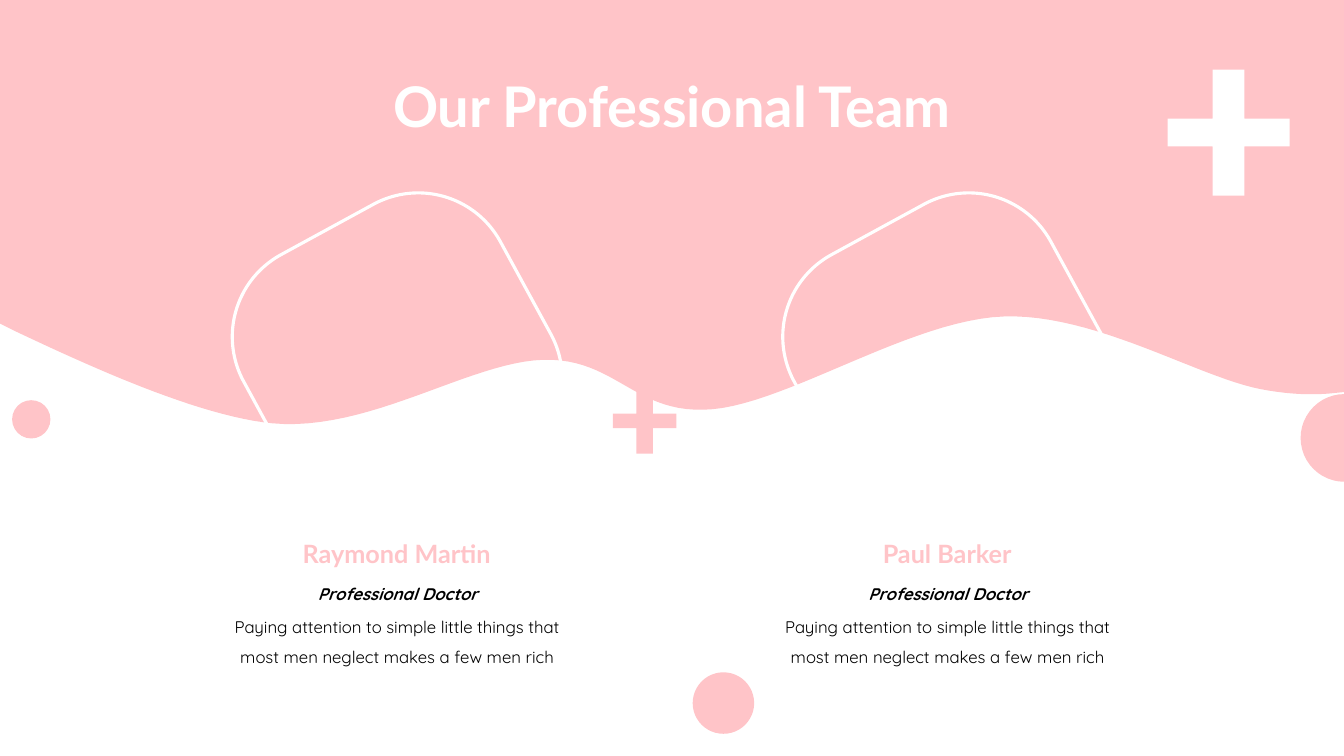
from pptx import Presentation
from pptx.dml.color import RGBColor
from pptx.enum.shapes import MSO_SHAPE
from pptx.enum.text import MSO_ANCHOR, MSO_AUTO_SIZE, PP_ALIGN
from pptx.util import Inches, Pt

PINK = RGBColor(0xFF, 0xC4, 0xC8)
WHITE = RGBColor(0xFF, 0xFF, 0xFF)
BLACK = RGBColor(0, 0, 0)
OVAL, ROUNDED = MSO_SHAPE.OVAL, MSO_SHAPE.ROUNDED_RECTANGLE
TOP, MIDDLE = MSO_ANCHOR.TOP, MSO_ANCHOR.MIDDLE
CENTER = PP_ALIGN.CENTER
GROW, FIXED = MSO_AUTO_SIZE.SHAPE_TO_FIT_TEXT, MSO_AUTO_SIZE.NONE

WIDTH, HEIGHT = 13.33, 7.5
CURVE_STEPS = 24
CARD_LEFT, CARD_TOP, CARD_STEP, FRAME_SPAN = 2.3, 1.91, 5.46, 3.28
FRAME_SIDE, FRAME_ROUNDING, FRAME_TURN = 2.9, 0.32, -28.6

HEADING = {"name": "Lato", "size": Pt(40), "bold": True}
NAME = {"name": "Lato", "size": Pt(18), "bold": True}
BODY = {"name": "Quicksand", "size": Pt(12)}
ROLE = {**BODY, "bold": True, "italic": True}

WAVE_START = (13.23, 3.9)
WAVE_CURVES = [
    ((13.05, 3.92), (12.81, 3.92), (12.5, 3.86)),
    ((11.88, 3.74), (10.86, 3.11), (9.96, 3.14)),
    ((9.05, 3.17), (7.83, 3.99), (7.07, 4.06)),
    ((6.3, 4.13), (6.12, 3.55), (5.39, 3.57)),
    ((4.66, 3.59), (3.66, 4.29), (2.7, 4.2)),
    ((1.97, 4.13), (0.88, 3.63), (0.16, 3.29)),
]
CIRCLES = [(0.12, 3.97, 0.38), (12.9, 3.91, 0.87), (6.87, 6.67, 0.61)]
PLUSES = [(6.08, 3.85, 0.63, 0.65, PINK), (11.58, 0.69, 1.21, 1.25, WHITE)]
TEAM = ["Raymond Martin", "Paul Barker"]
JOB = "Professional Doctor"
QUOTE = ("Paying attention to simple little things that "
         "most men neglect makes a few men rich")


def fill_plain(s, color):
    """Give a shape a flat fill without line or shadow."""
    s.shadow.inherit = False
    s.fill.solid()
    s.fill.fore_color.rgb = color
    s.line.fill.background()


def add_outline(slide, points, color):
    """Draw a filled polygon through points given in inches."""
    corners = [(Inches(x), Inches(y)) for x, y in points]
    builder = slide.shapes.build_freeform(*corners[0])
    builder.add_line_segments(corners[1:], close=True)
    fill_plain(builder.convert_to_shape(), color)


def curve_points(start, c1, c2, end):
    """Return points along a cubic curve, leaving out its start."""
    points = []
    for step in range(1, CURVE_STEPS + 1):
        t = step / CURVE_STEPS
        weights = ((1 - t) ** 3, 3 * t * (1 - t) ** 2, 3 * t * t * (1 - t), t ** 3)
        points.append(tuple(sum(w * v for w, v in zip(weights, axis))
                            for axis in zip(start, c1, c2, end)))
    return points


def add_text(slide, box, text, font, color, spacing=1.0, anchor=TOP, size_mode=GROW):
    """Place one centred paragraph in a box given in inches."""
    tf = slide.shapes.add_textbox(*map(Inches, box)).text_frame
    tf.word_wrap, tf.auto_size, tf.vertical_anchor = True, size_mode, anchor
    p = tf.paragraphs[0]
    p.alignment, p.line_spacing = CENTER, spacing
    r = p.add_run()
    r.text = text
    for key, value in font.items():
        setattr(r.font, key, value)
    r.font.color.rgb = color


def add_wave(slide, width):
    """Fill the top of the slide down to a wavy edge."""
    points = [(0, 0), (width, 0), (width, 3.89), WAVE_START]
    for curve in WAVE_CURVES:
        points += curve_points(points[-1], *curve)
    add_outline(slide, points + [(0, 3.21)], PINK)


def add_plus(slide, x, y, w, h, color):
    """Draw a plus sign that fills the given box."""
    x1, x2 = x + 0.37 * w, x + 0.63 * w
    y1, y2 = y + 0.39 * h, y + 0.61 * h
    right, bottom = x + w, y + h
    add_outline(slide, [(x1, y), (x2, y), (x2, y1), (right, y1), (right, y2), (x2, y2),
                        (x2, bottom), (x1, bottom), (x1, y2), (x, y2), (x, y1), (x1, y1)],
                color)


def add_member(slide, x, y, name):
    """Draw a tilted frame with a member's name, role and quote below."""
    inset = (FRAME_SPAN - FRAME_SIDE) / 2
    s = slide.shapes.add_shape(ROUNDED, Inches(x + inset), Inches(y + inset),
                               Inches(FRAME_SIDE), Inches(FRAME_SIDE))
    s.shadow.inherit = False
    s.adjustments[0] = FRAME_ROUNDING
    s.rotation = FRAME_TURN
    s.fill.background()
    s.line.color.rgb = WHITE
    s.line.width = Pt(2.25)
    add_text(slide, (x + 0.47, y + 3.38, 2.33, 0.4), name, NAME, PINK, anchor=MIDDLE)
    add_text(slide, (x - 0.28, y + 4.06, 3.84, 0.71), QUOTE, BODY, BLACK, 1.5)
    add_text(slide, (x - 0.16, y + 3.73, 3.61, 0.37), JOB, ROLE, BLACK, 1.5)


def add_decorations(slide):
    """Scatter the circles and plus signs."""
    for x, y, size in CIRCLES:
        s = slide.shapes.add_shape(OVAL, Inches(x), Inches(y), Inches(size), Inches(size))
        fill_plain(s, PINK)
    for plus in PLUSES:
        add_plus(slide, *plus)


def main():
    """Build the team slide and save it."""
    prs = Presentation()
    prs.slide_width, prs.slide_height = Inches(WIDTH), Inches(HEIGHT)
    slide = prs.slides.add_slide(prs.slide_layouts[6])
    add_wave(slide, WIDTH)
    for i, name in enumerate(TEAM):
        add_member(slide, CARD_LEFT + i * CARD_STEP, CARD_TOP, name)
    add_decorations(slide)
    add_text(slide, (2.31, 0.36, 8.71, 1.45), "Our Professional Team", HEADING, WHITE,
             0.9, MIDDLE, FIXED)
    prs.save("out.pptx")


if __name__ == "__main__":
    main()
